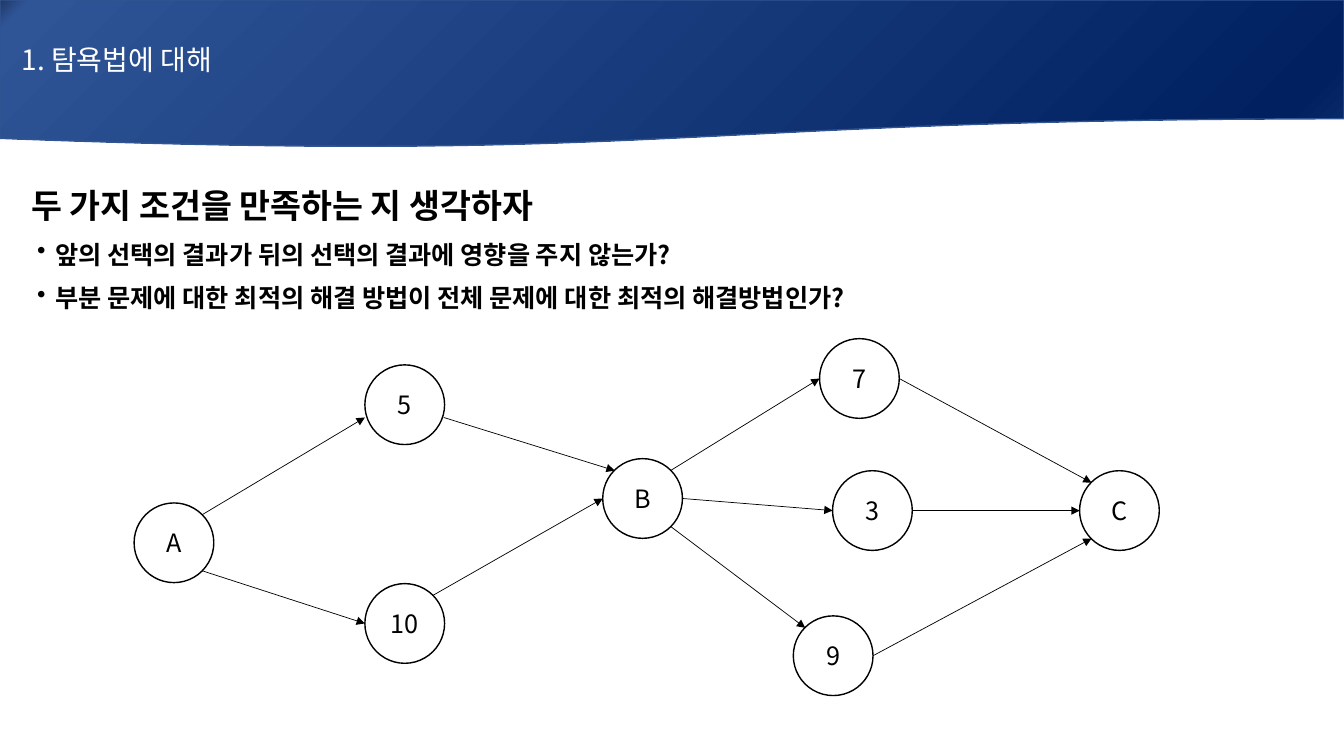
from dataclasses import dataclass

from lxml import etree
from pptx import Presentation
from pptx.dml.color import RGBColor
from pptx.enum.shapes import MSO_CONNECTOR, MSO_SHAPE
from pptx.enum.text import MSO_ANCHOR, PP_ALIGN
from pptx.oxml.ns import qn
from pptx.util import Inches, Pt

STRAIGHT = MSO_CONNECTOR.STRAIGHT
WAVE, CIRCLE = MSO_SHAPE.FLOWCHART_DOCUMENT, MSO_SHAPE.OVAL
MIDDLE = MSO_ANCHOR.MIDDLE
LEFT, CENTER, JUSTIFY = PP_ALIGN.LEFT, PP_ALIGN.CENTER, PP_ALIGN.JUSTIFY


@dataclass(frozen=True)
class Theme:
    font: str = "Noto Sans CJK KR"
    ink: str = "000000"
    paper: str = "FFFFFF"
    banner_line: str = "325491"
    banner_stops: tuple = ((0, "203864"), (2, "2F5597"), (94, "002060"), (100, "0D2E6F"))
    title: int = 20
    heading: int = 24
    body: int = 18
    outline: float = 1
    arrow: float = 0.5


THEME = Theme()
WIDTH, HEIGHT = Inches(13.33), Inches(7.5)
NODE = 5.93  # diameter, percent of the slide width

TITLE = "1. 탐욕법에 대해"
HEADING = "두 가지 조건을 만족하는 지 생각하자"
CONDITIONS = (
    "앞의 선택의 결과가 뒤의 선택의 결과에 영향을 주지 않는가?",
    "부분 문제에 대한 최적의 해결 방법이 전체 문제에 대한 최적의 해결방법인가?",
)

# Left and top of each node, percent of the slide
NODES = {
    "A": (9.98, 66.53),
    "5": (27.15, 48.27),
    "10": (27.15, 77.2),
    "B": (44.85, 60.67),
    "7": (60.98, 44.8),
    "3": (61.95, 62.27),
    "9": (59.03, 81.47),
    "C": (80.33, 62.27),
}

# Points on a node as shares of its diameter
SITES = {
    "left": (0, 0.5),
    "right": (1, 0.5),
    "low left": (0, 0.66),
    "low right": (0.99, 0.66),
    "top left": (0.15, 0.15),
    "top right": (0.85, 0.15),
    "bottom left": (0.15, 0.85),
    "bottom right": (0.85, 0.85),
}

EDGES = (
    ("A", "top right", "5", "low left"),
    ("A", "bottom right", "10", "left"),
    ("10", "top right", "B", "left"),
    ("5", "low right", "B", "top left"),
    ("B", "top right", "7", "left"),
    ("B", "right", "3", "left"),
    ("B", "bottom right", "9", "top left"),
    ("9", "right", "C", "bottom left"),
    ("3", "right", "C", "left"),
    ("7", "right", "C", "top left"),
)


def across(percent):
    return round(WIDTH * percent / 100)


def down(percent):
    return round(HEIGHT * percent / 100)


def rgb(value):
    return RGBColor.from_string(value)


def write(p, text, size, color, align, bold=False):
    p.text = text
    p.alignment = align
    for r in p.runs:
        r.font.size, r.font.bold = Pt(size), bold
        r.font.name = THEME.font
        r.font.color.rgb = rgb(color)
        east_asian = etree.SubElement(r._r.get_or_add_rPr(), qn("a:ea"))
        east_asian.set("typeface", THEME.font)


def add_bullet(p):
    pPr = p._p.get_or_add_pPr()
    pPr.set("marL", str(across(1.8)))
    pPr.set("indent", str(-across(1.35)))
    etree.SubElement(pPr, qn("a:buChar")).set("char", "•")


def fill_gradient(fill, stops):
    fill.gradient()
    fill.gradient_angle = 315
    stop_list = fill._xPr.find(qn("a:gradFill")).find(qn("a:gsLst"))
    for old in list(stop_list):
        stop_list.remove(old)
    for percent, color in stops:
        stop = etree.SubElement(stop_list, qn("a:gs"), pos=str(percent * 1000))
        etree.SubElement(stop, qn("a:srgbClr"), val=color)


def add_outlined(s, kind, left, top, width, height, line):
    sp = s.shapes.add_shape(kind, left, top, width, height)
    sp.shadow.inherit = False
    sp.line.color.rgb = rgb(line)
    sp.line.width = Pt(THEME.outline)
    sp.text_frame.vertical_anchor = MIDDLE
    return sp


def add_banner(s):
    sp = add_outlined(s, WAVE, 0, 0, WIDTH, down(19.6), THEME.banner_line)
    fill_gradient(sp.fill, THEME.banner_stops)
    sp.text_frame.margin_left = across(1.6)
    write(sp.text_frame.paragraphs[0], TITLE, THEME.title, THEME.paper, LEFT)


def add_conditions(s):
    box = s.shapes.add_textbox(across(1.58), down(23.47), across(96.3), down(24.27))
    tf = box.text_frame
    tf.word_wrap = True
    heading = tf.paragraphs[0]
    write(heading, HEADING, THEME.heading, THEME.ink, JUSTIFY, bold=True)
    for text in CONDITIONS:
        p = tf.add_paragraph()
        write(p, text, THEME.body, THEME.ink, JUSTIFY, bold=True)
    for p in tf.paragraphs:
        p.line_spacing = 1.07
        p.space_after = Pt(8)
        if p.text != HEADING:
            add_bullet(p)


def add_node(s, label):
    left, top = NODES[label]
    size = across(NODE)
    sp = add_outlined(s, CIRCLE, across(left), down(top), size, size, THEME.ink)
    sp.fill.solid()
    sp.fill.fore_color.rgb = rgb(THEME.paper)
    tf = sp.text_frame
    tf.word_wrap = False
    write(tf.paragraphs[0], label, THEME.body, THEME.ink, CENTER)


def site_point(label, site):
    left, top = NODES[label]
    dx, dy = SITES[site]
    return across(left + dx * NODE), down(top) + across(dy * NODE)


def add_arrow(s, source, source_site, target, target_site):
    start, end = site_point(source, source_site), site_point(target, target_site)
    arrow = s.shapes.add_connector(STRAIGHT, *start, *end)
    arrow.line.color.rgb = rgb(THEME.ink)
    arrow.line.width = Pt(THEME.arrow)
    etree.SubElement(arrow.line._get_or_add_ln(), qn("a:tailEnd"), type="triangle")
    etree.SubElement(arrow._element.spPr, qn("a:effectLst"))


def main():
    prs = Presentation()
    prs.slide_width, prs.slide_height = WIDTH, HEIGHT
    s = prs.slides.add_slide(prs.slide_layouts[6])
    add_banner(s)
    add_conditions(s)
    for label in NODES:
        add_node(s, label)
    for edge in EDGES:
        add_arrow(s, *edge)
    prs.save("out.pptx")


if __name__ == "__main__":
    main()
